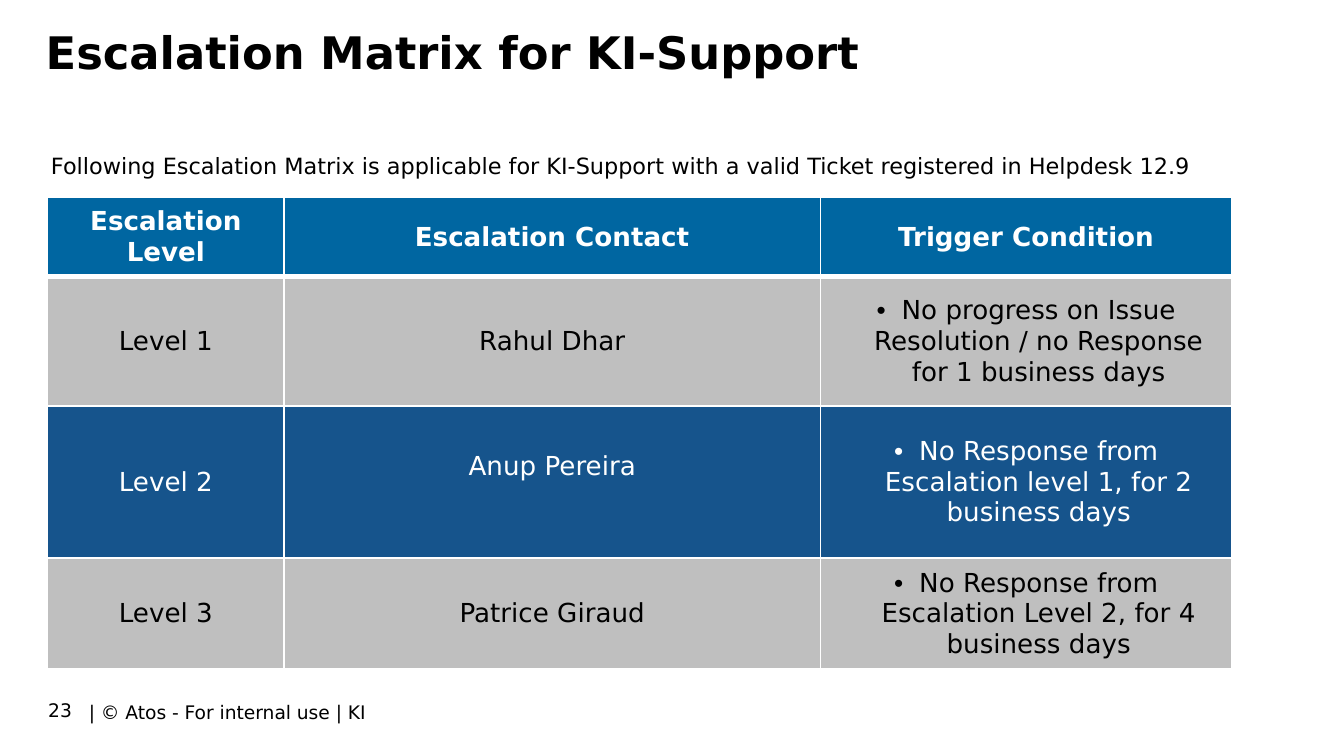
"""Build the escalation matrix slide."""
from lxml import etree
from pptx import Presentation
from pptx.dml.color import RGBColor
from pptx.enum.text import MSO_ANCHOR as ANCHOR, PP_ALIGN as ALIGN
from pptx.oxml.ns import qn
from pptx.util import Emu, Pt

PX = 9525
BLACK, WHITE = "000000", "FFFFFF"
HEADER, GREY, BLUE = "0066A1", "BFBFBF", "16548C"


def rgb(value):
    return RGBColor.from_string(value)


def put(tf, text, size, color=BLACK, bold=False, align=ALIGN.LEFT, anchor=ANCHOR.TOP):
    tf.word_wrap = True
    tf.vertical_anchor = anchor
    p = tf.paragraphs[0]
    p.alignment = align
    r = p.add_run()
    r.text = text
    for key, value in {"name": "DejaVu Sans", "size": Pt(size), "bold": bold}.items():
        setattr(r.font, key, value)
    r.font.color.rgb = rgb(color)
    return p


prs = Presentation()
prs.slide_width, prs.slide_height = Emu(960 * PX), Emu(540 * PX)
s = prs.slides.add_slide(prs.slide_layouts[5])

title = s.shapes.title
box = {"left": 23, "top": 13, "width": 919, "height": 76}
for key, value in box.items():
    setattr(title, key, Emu(value * PX))
put(title.text_frame, "Escalation Matrix for KI-Support", 24, bold=True)

intro = ("Following Escalation Matrix is applicable for KI-Support "
         "with a valid Ticket registered in Helpdesk 12.9")
for text, size, anchor, *place in [
    ("| © Atos - For internal use | KI", 10, ANCHOR.TOP, 54, 496, 520, 26),
    ("23", 10, ANCHOR.MIDDLE, 25, 496, 46, 23),
    (intro, 12, ANCHOR.TOP, 27, 104, 907, 29),
]:
    sp = s.shapes.add_textbox(*[Emu(n * PX) for n in place])
    put(sp.text_frame, text, size, anchor=anchor)

rows = [
    ("Escalation Level", "Escalation Contact", "Trigger Condition"),
    ("Level 1", "Rahul Dhar", "No progress on Issue Resolution / no Response for 1 business days"),
    ("Level 2", "Anup Pereira", "No Response from Escalation level 1, for 2 business days"),
    ("Level 3", "Patrice Giraud", "No Response from Escalation Level 2, for 4 business days"),
]
widths, heights = [169, 383, 294], [56, 92, 109, 79]
styles = [(HEADER, WHITE), (GREY, BLACK), (BLUE, WHITE), (GREY, BLACK)]
frame = s.shapes.add_table(4, 3, Emu(34 * PX), Emu(141 * PX),
                           Emu(sum(widths) * PX), Emu(sum(heights) * PX))
table = frame.table
table.horz_banding = False
for col, width in zip(table.columns, widths):
    col.width = Emu(width * PX)

for i, (texts, height, (fill, color)) in enumerate(zip(rows, heights, styles)):
    table.rows[i].height = Emu(height * PX)
    for j, text in enumerate(texts):
        cell = table.cell(i, j)
        cell.vertical_anchor = ANCHOR.MIDDLE
        cell.margin_top = cell.margin_bottom = Emu(6 * PX)
        tcPr = cell._tc.get_or_add_tcPr()
        for side in "LRTB":
            thick = (i, side) in [(0, "B"), (1, "T")]
            ln = etree.SubElement(tcPr, qn(f"a:ln{side}"), w=str(Pt(3 if thick else 1)))
            solid = etree.SubElement(ln, qn("a:solidFill"))
            etree.SubElement(solid, qn("a:srgbClr"), val=WHITE)
        cell.fill.solid()
        cell.fill.fore_color.rgb = rgb(fill)
        p = put(cell.text_frame, text, 14, color, i == 0, ALIGN.CENTER, ANCHOR.MIDDLE)
        if i and j == 2:
            pPr = p._p.get_or_add_pPr()
            pPr.set("marL", str(18 * PX))
            pPr.set("indent", str(-18 * PX))
            etree.SubElement(pPr, qn("a:buFont"), typeface="Arial")
            etree.SubElement(pPr, qn("a:buChar"), char="•")
table.cell(2, 1).margin_bottom = Emu(28 * PX)

prs.save("out.pptx")
